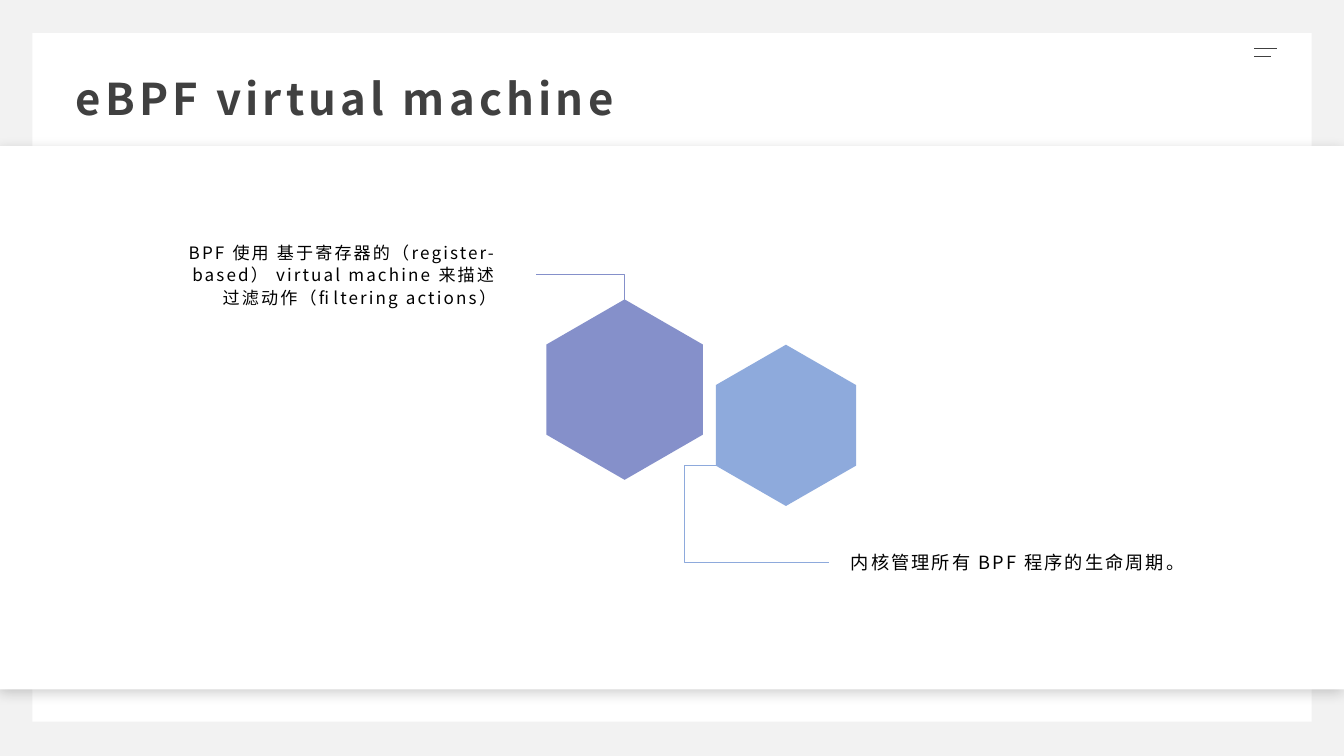
import pptx
import pptx.util
import pptx.dml.color
import pptx.enum.shapes
import pptx.enum.text
import pptx.oxml
import pptx.oxml.ns
from lxml import etree

Inches = pptx.util.Inches
RGB = pptx.dml.color.RGBColor.from_string
qn = pptx.oxml.ns.qn
ALIGN = pptx.enum.text.PP_ALIGN
ANCHOR = pptx.enum.text.MSO_ANCHOR

THEME = {
    "font": "Noto Sans CJK SC",
    "backdrop": "F2F2F2",
    "panel": "FFFFFF",
    "shadow": "0D0D0D",
    "heading": "404040",
    "body": "000000",
    "violet": "8590CA",
    "blue": "8EAADC",
    "title_size": 31.2,
    "lifecycle_size": 13,
    "register_size": 12.2,
}


def add_text(page, place, text, size, color, spacing, margins):
    box = page.shapes.add_textbox(*map(Inches, place))
    frame = box.text_frame
    frame.word_wrap = True
    frame.margin_left = frame.margin_right = Inches(margins[0])
    frame.margin_top = frame.margin_bottom = Inches(margins[1])
    frame.text = text
    span = frame.paragraphs[0].runs[0]
    span.font.size = pptx.util.Pt(size)
    span.font.name = THEME["font"]
    span.font.color.rgb = RGB(THEME[color])
    properties = span.font._element
    properties.set("spc", str(int(spacing * 100)))
    east_asian = etree.Element(qn("a:ea"), typeface=THEME["font"])
    properties.find(qn("a:latin")).addnext(east_asian)
    return frame


def add_outline(page, points, close):
    corners = [(Inches(x), Inches(y)) for x, y in points]
    builder = page.shapes.build_freeform(*corners[0], scale=1.0)
    builder.add_line_segments(corners[1:], close=close)
    shape = builder.convert_to_shape()
    shape.shadow.inherit = False
    return shape


deck = pptx.Presentation()
deck.slide_width = Inches(13.33)
deck.slide_height = Inches(7.5)
page = deck.slides.add_slide(deck.slide_layouts[6])
page.background.fill.solid()
page.background.fill.fore_color.rgb = RGB(THEME["backdrop"])

for place in [(0.32, 0.33, 12.69, 6.83), (0, 1.45, 13.33, 5.39)]:
    panel = page.shapes.add_shape(
        pptx.enum.shapes.MSO_SHAPE.RECTANGLE, *map(Inches, place))
    panel.shadow.inherit = False
    panel.fill.solid()
    panel.fill.fore_color.rgb = RGB(THEME["panel"])
    panel.line.fill.background()

effects = panel._element.spPr.find(qn("a:effectLst"))
shadow = etree.SubElement(
    effects, qn("a:outerShdw"), blurRad=str(pptx.util.Pt(10)),
    dist=str(pptx.util.Pt(3)), dir="5400000", algn="t", rotWithShape="0")
shade = etree.SubElement(shadow, qn("a:srgbClr"), val=THEME["shadow"])
etree.SubElement(shade, qn("a:alpha"), val="20000")

title = add_text(page, (0.67, 0.67, 12, 0.62), "eBPF virtual machine",
                 THEME["title_size"], "heading", 3, (0.08, 0.04))
title.paragraphs[0].space_after = pptx.util.Pt(8)
title.paragraphs[0].runs[0].font.bold = True

menu = page.shapes.add_group_shape()
for right, y in [(12.67, 0.48), (12.61, 0.56)]:
    bar = menu.shapes.add_connector(
        pptx.enum.shapes.MSO_CONNECTOR.STRAIGHT,
        Inches(12.44), Inches(y), Inches(right), Inches(y))
    bar.line.color.rgb = RGB(THEME["heading"])
    bar.line.width = pptx.util.Pt(1)
    etree.SubElement(bar._element.spPr, qn("a:effectLst"))

for left, top, width, height, color in [
    (5.42, 2.97, 1.55, 1.79, "violet"),
    (7.1, 3.42, 1.39, 1.6, "blue"),
]:
    middle, right = left + width / 2, left + width
    upper, lower = top + height / 4, top + height * 3 / 4
    hexagon = add_outline(page, [
        (left, upper), (middle, top), (right, upper),
        (right, lower), (middle, top + height), (left, lower),
    ], True)
    hexagon.fill.solid()
    hexagon.fill.fore_color.rgb = RGB(THEME[color])
    hexagon.line.fill.background()

for points, color in [
    ([(6.19, 2.98), (6.19, 2.72), (5.32, 2.72)], "violet"),
    ([(7.1, 4.62), (6.79, 4.62), (6.79, 5.58), (8.22, 5.58)], "blue"),
]:
    leader = add_outline(page, points, False)
    leader.fill.background()
    leader.line.color.rgb = RGB(THEME[color])
    leader.line.width = pptx.util.Pt(0.5)

for left, top, text, size, align, line_spacing in [
    (8.34, 5.16, "内核管理所有 BPF 程序的生命周期。",
     THEME["lifecycle_size"], ALIGN.LEFT, 1.2),
    (1.58, 2.32, "BPF 使用 基于寄存器的（register-based） virtual machine "
     "来描述 过滤动作（filtering actions）",
     THEME["register_size"], ALIGN.RIGHT, 1.1),
]:
    caption = add_text(page, (left, top, 3.44, 0.79), text, size,
                       "body", 1.5, (0.1, 0.05))
    caption.vertical_anchor = ANCHOR.MIDDLE
    caption.paragraphs[0].alignment = align
    caption.paragraphs[0].line_spacing = line_spacing

deck.save("out.pptx")
